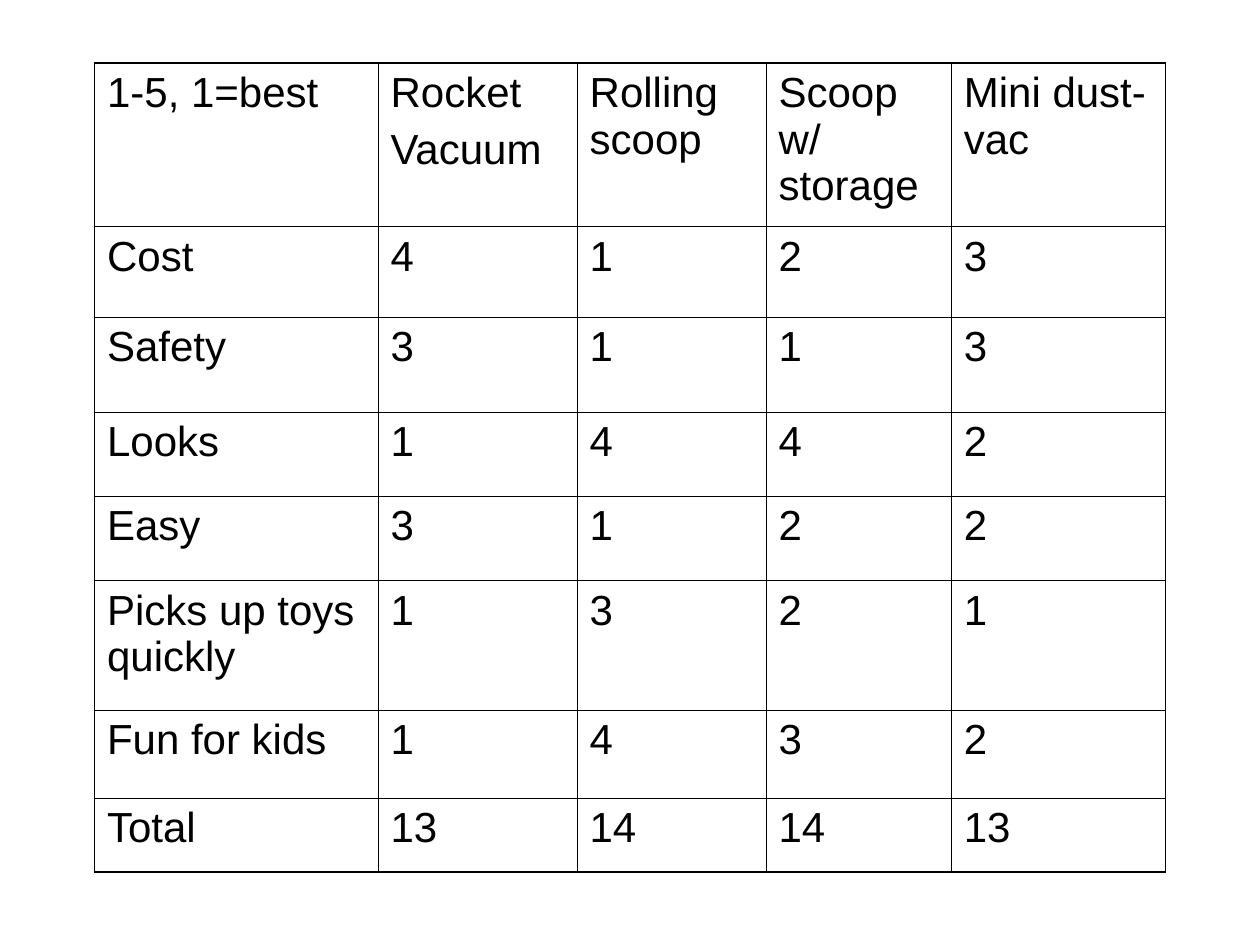
from dataclasses import dataclass

from lxml import etree
from pptx import Presentation
from pptx.dml.color import RGBColor
from pptx.oxml.ns import qn
from pptx.util import Inches, Pt

BLANK_LAYOUT = 6


@dataclass(frozen=True)
class Theme:
    font: str = "Arial"
    size: float = 24
    ink: str = "000000"
    paragraph_gap: float = 6
    inner_line: float = 0.45
    outer_line: float = 1.08


def write_text(text_frame, text, *, font, size, color, gap):
    """Write one paragraph per line, with a gap between paragraphs."""
    text_frame.word_wrap = True
    for index, line in enumerate(text.split("\n")):
        paragraph = text_frame.add_paragraph() if index else text_frame.paragraphs[0]
        paragraph.space_before = Pt(gap if index else 0)
        run = paragraph.add_run()
        run.text = line
        run.font.name = font
        run.font.size = Pt(size)
        run.font.color.rgb = RGBColor.from_string(color)


class SlideBuilder:
    def __init__(self, presentation, theme):
        self.theme = theme
        self.width = presentation.slide_width
        self.height = presentation.slide_height
        self.slide = presentation.slides.add_slide(presentation.slide_layouts[BLANK_LAYOUT])

    def border(self, cell, side, width):
        properties = cell._tc.get_or_add_tcPr()
        line = etree.SubElement(properties, qn(f"a:ln{side}"), w=str(int(Pt(width))))
        fill = etree.SubElement(line, qn("a:solidFill"))
        etree.SubElement(fill, qn("a:srgbClr"), val=self.theme.ink)

    def table(self, rows, left, top, column_shares, row_shares):
        """Place a ruled table; all lengths are shares of the slide's size."""
        theme = self.theme
        row_count, column_count = len(row_shares), len(column_shares)
        table = self.slide.shapes.add_table(
            row_count, column_count,
            int(left * self.width), int(top * self.height),
            int(sum(column_shares) * self.width), int(sum(row_shares) * self.height),
        ).table
        table.first_row = table.horz_banding = False
        for column, share in zip(table.columns, column_shares):
            column.width = int(share * self.width)
        for row, share in zip(table.rows, row_shares):
            row.height = int(share * self.height)

        for r, values in enumerate(rows):
            for c, value in enumerate(values):
                cell = table.cell(r, c)
                write_text(cell.text_frame, str(value), font=theme.font,
                           size=theme.size, color=theme.ink, gap=theme.paragraph_gap)
                # The outer frame is heavier than the inner rules
                outer = {"L": c == 0, "R": c == column_count - 1,
                         "T": r == 0, "B": r == row_count - 1}
                for side, is_outer in outer.items():
                    self.border(cell, side, theme.outer_line if is_outer else theme.inner_line)
                cell.fill.background()


def main():
    presentation = Presentation()
    presentation.slide_width, presentation.slide_height = Inches(10), Inches(7.5)
    builder = SlideBuilder(presentation, Theme())

    # Ratings of each design, with their totals
    header = ["1-5, 1=best", "Rocket\nVacuum", "Rolling scoop", "Scoop w/ storage", "Mini dust-vac"]
    ratings = {
        "Cost": [4, 1, 2, 3],
        "Safety": [3, 1, 1, 3],
        "Looks": [1, 4, 4, 2],
        "Easy": [3, 1, 2, 2],
        "Picks up toys quickly": [1, 3, 2, 1],
        "Fun for kids": [1, 4, 3, 2],
    }
    totals = [sum(scores) for scores in zip(*ratings.values())]
    rows = [header, *([name, *scores] for name, scores in ratings.items()), ["Total", *totals]]

    # Column widths and row heights in inches, as shares of the slide
    column_shares = [width / 10 for width in (2.25, 1.58, 1.5, 1.47, 1.7)]
    row_shares = [height / 7.5 for height in (1.3, 0.72, 0.75, 0.67, 0.67, 1.03, 0.7, 0.58)]
    builder.table(rows, left=0.75 / 10, top=0.5 / 7.5,
                  column_shares=column_shares, row_shares=row_shares)

    presentation.save("out.pptx")


if __name__ == "__main__":
    main()
